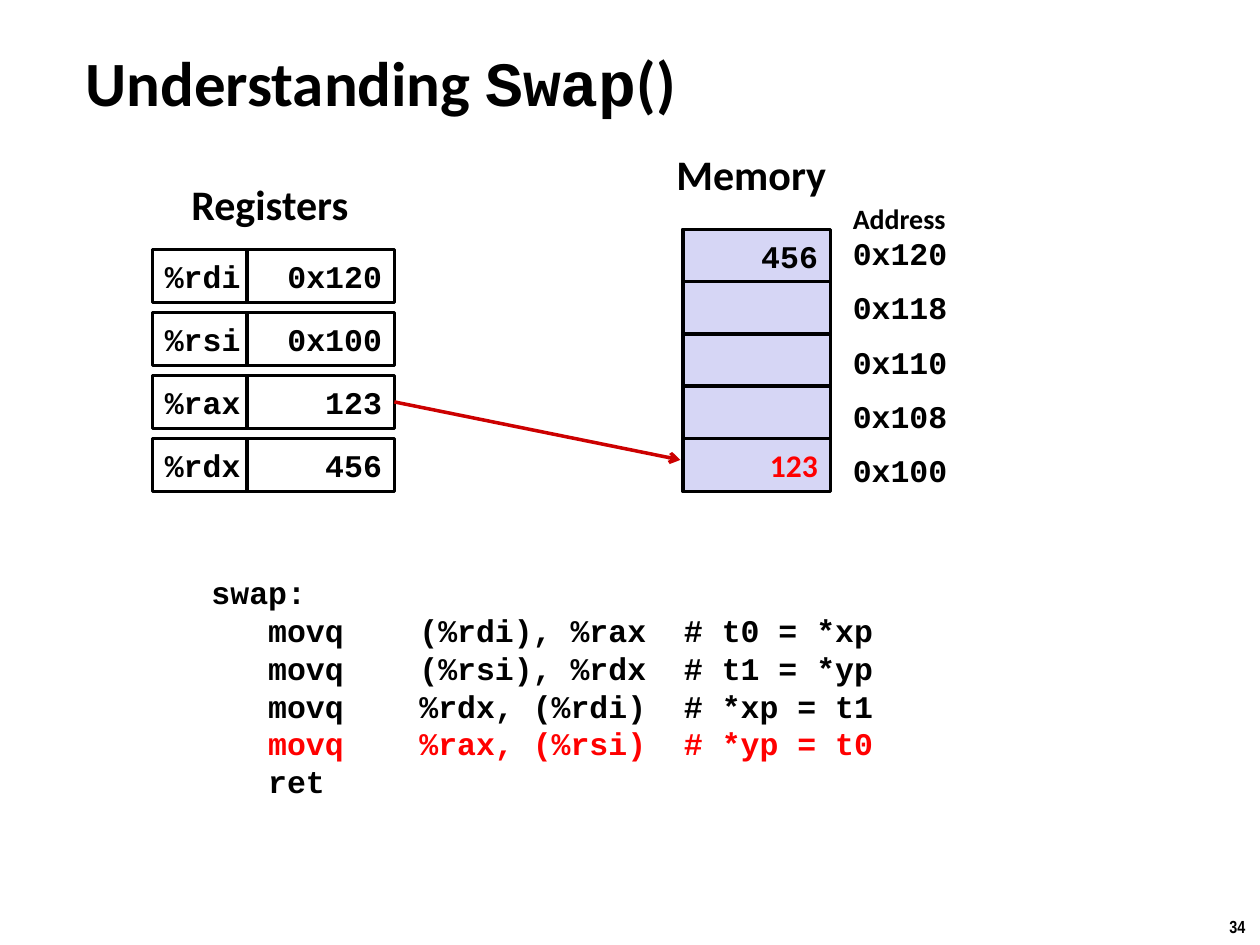
from lxml import etree
from pptx import Presentation
from pptx.dml.color import RGBColor
from pptx.enum.shapes import MSO_CONNECTOR as Connector, MSO_SHAPE as Preset
from pptx.enum.text import MSO_ANCHOR as Anchor, PP_ALIGN as Align
from pptx.oxml.ns import qn
from pptx.util import Inches, Pt

BLACK = RGBColor(0, 0, 0)
WHITE = RGBColor(255, 255, 255)
RED = RGBColor(255, 0, 0)
ARROW_RED = RGBColor(204, 0, 0)
LAVENDER = RGBColor(214, 214, 245)
SANS, MONO = "Calibri", "Courier New"

CELL_HEIGHT = 0.42
NAME_WIDTH, VALUE_WIDTH = 0.75, 1.17
REGISTERS = [("%rdi", "0x120"), ("%rsi", "0x100"), ("%rax", "123"), ("%rdx", "456")]
MEMORY = [("0x120", "456"), ("0x118", ""), ("0x110", ""), ("0x108", ""), ("0x100", "123")]
CODE = [
    "swap:",
    "\tmovq\t(%rdi), %rax\t# t0 = *xp",
    "\tmovq\t(%rsi), %rdx\t# t1 = *yp",
    "\tmovq\t%rdx, (%rdi)\t# *xp = t1",
    "\tmovq\t%rax, (%rsi)\t# *yp = t0",
    "\tret",
]
ACTIVE_LINE = 4
CODE_COLUMNS = [3, 11, 25]
CHARACTER_WIDTH = 0.15


def style_run(run, size=18, font=MONO, color=BLACK):
    run.font.size = Pt(size)
    run.font.name = font
    run.font.bold = True
    run.font.color.rgb = color


def add_label(shapes, box, text, size=18, font=MONO, wrap=False):
    label = shapes.add_textbox(*map(Inches, box))
    label.text_frame.word_wrap = wrap
    paragraph = label.text_frame.paragraphs[0]
    paragraph.text = text
    style_run(paragraph.runs[0], size, font)


def add_cell(shapes, box, text, fill, align=Align.RIGHT, font=MONO, color=BLACK):
    cell = shapes.add_shape(Preset.RECTANGLE, *map(Inches, box))
    cell.shadow.inherit = False
    cell.fill.solid()
    cell.fill.fore_color.rgb = fill
    cell.line.color.rgb = BLACK
    cell.line.width = Pt(2)
    if text:
        frame = cell.text_frame
        frame.text = text
        frame.word_wrap = False
        frame.vertical_anchor = Anchor.MIDDLE
        paragraph = frame.paragraphs[0]
        paragraph.alignment = align
        style_run(paragraph.runs[0], font=font, color=color)


def add_title(slide, box):
    title = slide.shapes.add_textbox(*map(Inches, box))
    frame = title.text_frame
    frame.word_wrap = True
    frame.vertical_anchor = Anchor.MIDDLE
    for text, font in [("Understanding ", SANS), ("Swap", MONO), ("()", SANS)]:
        run = frame.paragraphs[0].add_run()
        run.text = text
        style_run(run, 36, font)


def add_registers(slide, left, top, pitch):
    add_label(slide.shapes, (left + 0.21, top - 0.61, 1.48, 0.5), "Registers", 24, SANS)
    group = slide.shapes.add_group_shape().shapes
    for row, (name, value) in enumerate(REGISTERS):
        y = top + row * pitch
        add_cell(group, (left, y, NAME_WIDTH, CELL_HEIGHT), name, WHITE, Align.LEFT)
        add_cell(group, (left + NAME_WIDTH, y, VALUE_WIDTH, CELL_HEIGHT), value, WHITE)


def add_memory(slide, left, top, pitch):
    add_label(slide.shapes, (left - 0.15, top - 0.69, 1.4, 0.5), "Memory", 24, SANS)
    for row, (address, value) in enumerate(MEMORY):
        updated = address == "0x100"
        add_cell(slide.shapes, (left, top + row * pitch, VALUE_WIDTH, CELL_HEIGHT), value,
                 LAVENDER, font=SANS if updated else MONO, color=RED if updated else BLACK)
    group = slide.shapes.add_group_shape().shapes
    address_left = left + 1.25
    for row, (address, value) in enumerate(MEMORY):
        add_label(group, (address_left, top - 0.01 + row * 0.43, 1.33, 0.4), address, wrap=True)
    add_label(group, (address_left, top - 0.27, 1.33, 0.37), "Address", 16, SANS, wrap=True)


def add_arrow(slide, start, end):
    arrow = slide.shapes.add_connector(Connector.STRAIGHT, *map(Inches, start + end))
    arrow.line.color.rgb = ARROW_RED
    arrow.line.width = Pt(2)
    etree.SubElement(arrow.line._get_or_add_ln(), qn("a:tailEnd"), type="arrow")
    etree.SubElement(arrow._element.spPr, qn("a:effectLst"))


def add_code(slide, box):
    code = slide.shapes.add_textbox(*map(Inches, box))
    frame = code.text_frame
    frame.word_wrap = True
    frame.text = "\n".join(CODE)
    for index, paragraph in enumerate(frame.paragraphs):
        tabs = etree.SubElement(paragraph._p.get_or_add_pPr(), qn("a:tabLst"))
        for column in CODE_COLUMNS:
            position = Inches(column * CHARACTER_WIDTH)
            etree.SubElement(tabs, qn("a:tab"), pos=str(position), algn="l")
        style_run(paragraph.runs[0], color=RED if index == ACTIVE_LINE else BLACK)


def main():
    presentation = Presentation()
    presentation.slide_width, presentation.slide_height = Inches(10), Inches(7.5)
    slide = presentation.slides.add_slide(presentation.slide_layouts[6])
    add_label(slide.shapes, (9.66, 7.22, 0.34, 0.27), "34", 10, "Arial Narrow")
    add_title(slide, (0.58, 0.33, 6.97, 0.63))
    add_memory(slide, 5.42, 1.82, 0.415)
    add_registers(slide, 1.21, 1.98, 0.5)
    add_arrow(slide, (3.13, 3.19), (5.4, 3.65))
    add_code(slide, (1.58, 4.5, 6.42, 1.92))
    presentation.save("out.pptx")


if __name__ == "__main__":
    main()
